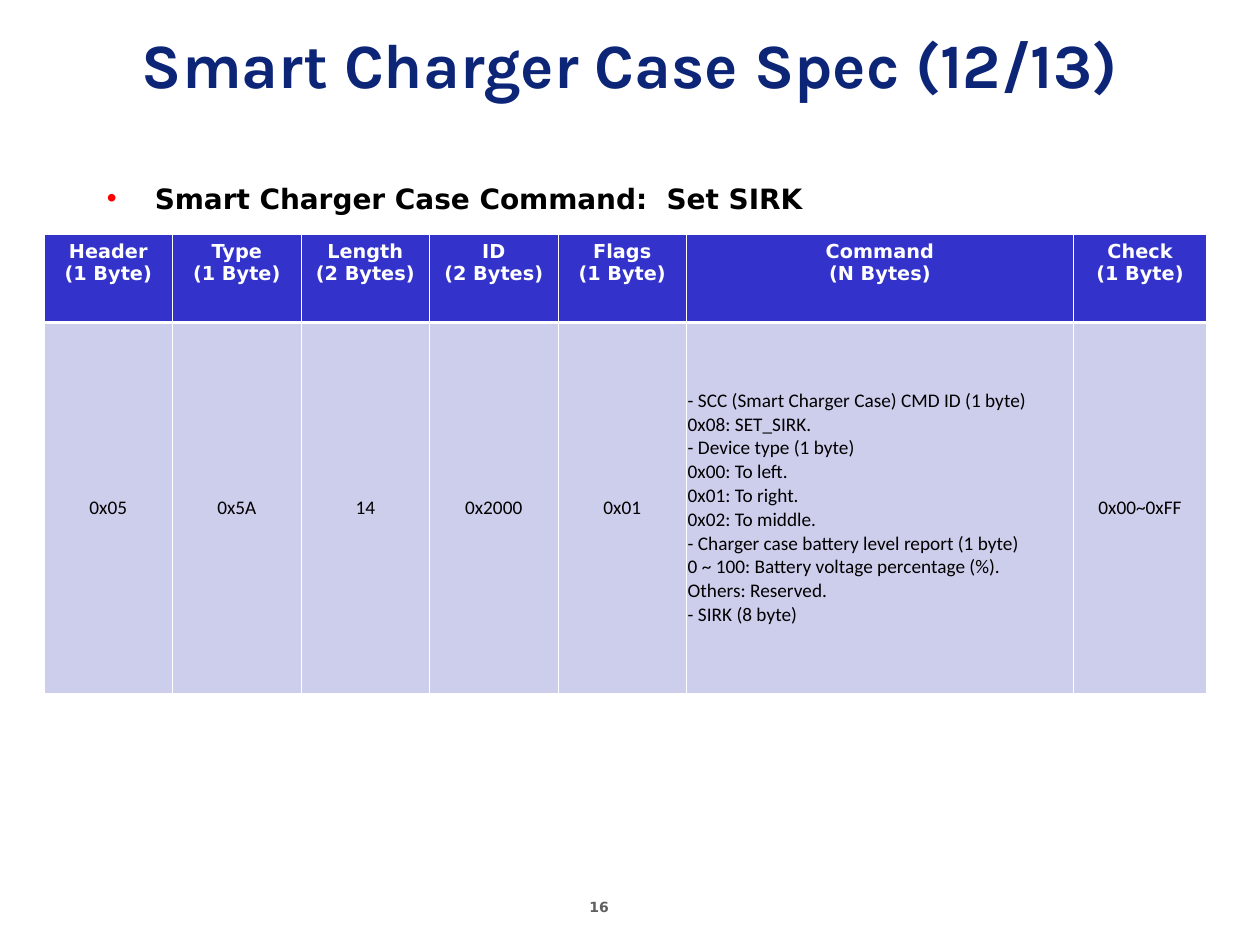
from lxml import etree
from pptx import Presentation
from pptx import util as u
from pptx.dml.color import RGBColor
from pptx.enum import text
from pptx.oxml import ns

NAVY = RGBColor(0x0C, 0x25, 0x77)
BLUE = RGBColor(0x33, 0x33, 0xCC)
LAVENDER = RGBColor(0xCD, 0xCD, 0xEC)
GRAY = RGBColor(0x5F, 0x5F, 0x5F)
BLACK = RGBColor(0, 0, 0)
WHITE = RGBColor(0xFF, 0xFF, 0xFF)
RED = RGBColor(0xFF, 0, 0)

CENTER, LEFT = text.PP_ALIGN.CENTER, text.PP_ALIGN.LEFT
MIDDLE, TOP = text.MSO_ANCHOR.MIDDLE, text.MSO_ANCHOR.TOP

TITLE = {"name": "Karla", "size": u.Pt(36), "bold": True, "color": NAVY}
TOPIC = {"name": "DejaVu Sans", "size": u.Pt(16), "bold": True, "color": BLACK}
NUMBER = {"name": "DejaVu Sans", "size": u.Pt(8), "bold": True, "color": GRAY}
HEADING = {"name": "DejaVu Sans", "size": u.Pt(11), "bold": True, "color": WHITE}
BODY = {"name": "Calibri", "size": u.Pt(11), "bold": False, "color": BLACK}

THIN, THICK = u.Pt(0.45), u.Pt(1.47)
COLUMN_WIDTHS = [1.02] * 5 + [3.07, 1.06]
ROW_HEIGHTS = [0.7, 2.94]
FIELDS = [
    ("Header\n(1 Byte)", "0x05"),
    ("Type\n(1 Byte)", "0x5A"),
    ("Length\n(2 Bytes)", "14"),
    ("ID\n(2 Bytes)", "0x2000"),
    ("Flags\n(1 Byte)", "0x01"),
    (
        "Command\n(N Bytes)",
        "- SCC (Smart Charger Case) CMD ID (1 byte)\n"
        "0x08: SET_SIRK.\n"
        "- Device type (1 byte)\n"
        "0x00: To left.\n"
        "0x01: To right.\n"
        "0x02: To middle.\n"
        "- Charger case battery level report (1 byte)\n"
        "0 ~ 100: Battery voltage percentage (%).\n"
        "Others: Reserved.\n"
        "- SIRK (8 byte)",
    ),
    ("Check\n(1 Byte)", "0x00~0xFF"),
]


def write(frame, words, style, align=LEFT):
    """Fill a text frame with one styled paragraph per line."""
    frame.text = words
    for para in frame.paragraphs:
        para.alignment = align
        for span in para.runs:
            for key, value in style.items():
                if key == "color":
                    span.font.color.rgb = value
                else:
                    setattr(span.font, key, value)


def add_text(page, place, words, style, align=LEFT, anchor=TOP, wrap=True):
    """Add a text box and return its text frame."""
    frame = page.shapes.add_textbox(*map(u.Inches, place)).text_frame
    frame.word_wrap = wrap
    frame.vertical_anchor = anchor
    write(frame, words, style, align)
    return frame


def add_bullet(para, color):
    """Give a paragraph a coloured bullet with a hanging indent."""
    para.space_before = u.Pt(4)
    props = para._p.get_or_add_pPr()
    props.set("marL", str(u.Inches(0.38)))
    props.set("indent", str(-u.Inches(0.38)))
    tint = etree.SubElement(props, ns.qn("a:buClr"))
    etree.SubElement(tint, ns.qn("a:srgbClr"), val=str(color))
    etree.SubElement(props, ns.qn("a:buFont"), typeface="Arial")
    etree.SubElement(props, ns.qn("a:buChar"), char="•")


def set_borders(cell, top, bottom):
    """Draw white borders around a cell."""
    props = cell._tc.get_or_add_tcPr()
    for side, width in zip("LRTB", (THIN, THIN, top, bottom)):
        line = etree.SubElement(props, ns.qn(f"a:ln{side}"), w=str(width))
        fill = etree.SubElement(line, ns.qn("a:solidFill"))
        etree.SubElement(fill, ns.qn("a:srgbClr"), val=str(WHITE))


def format_cell(cell, color, top, bottom):
    """Set the borders and fill of a cell."""
    set_borders(cell, top, bottom)
    cell.fill.solid()
    cell.fill.fore_color.rgb = color


def add_packet_table(page):
    """Add the table of packet fields."""
    place = (0.35, 1.86, sum(COLUMN_WIDTHS), sum(ROW_HEIGHTS))
    table = page.shapes.add_table(
        len(ROW_HEIGHTS), len(FIELDS), *map(u.Inches, place)
    ).table
    for row, height in zip(table.rows, ROW_HEIGHTS):
        row.height = u.Inches(height)
    for index, (heading, value) in enumerate(FIELDS):
        table.columns[index].width = u.Inches(COLUMN_WIDTHS[index])
        head, body = table.cell(0, index), table.cell(1, index)
        write(head.text_frame, heading, HEADING, CENTER)
        write(body.text_frame, value, BODY, LEFT if "\n" in value else CENTER)
        body.vertical_anchor = MIDDLE
        body.margin_left = body.margin_right = u.Inches(0.01)
        format_cell(head, BLUE, THIN, THICK)
        format_cell(body, LAVENDER, THICK, THIN)


def main():
    """Build and save the slide."""
    deck = Presentation()
    deck.slide_width, deck.slide_height = u.Inches(10), u.Inches(7.5)
    page = deck.slides.add_slide(deck.slide_layouts[6])
    add_text(page, (4.58, 7.08, 0.77, 0.26), "16", NUMBER, wrap=False)
    add_text(page, (0, 0, 10, 1), "Smart Charger Case Spec (12/13)", TITLE,
             CENTER, MIDDLE)
    topic = add_text(page, (0.75, 1.39, 9.25, 5.17),
                     "Smart Charger Case Command:  Set SIRK", TOPIC)
    add_bullet(topic.paragraphs[0], RED)
    add_packet_table(page)
    deck.save("out.pptx")


if __name__ == "__main__":
    main()
